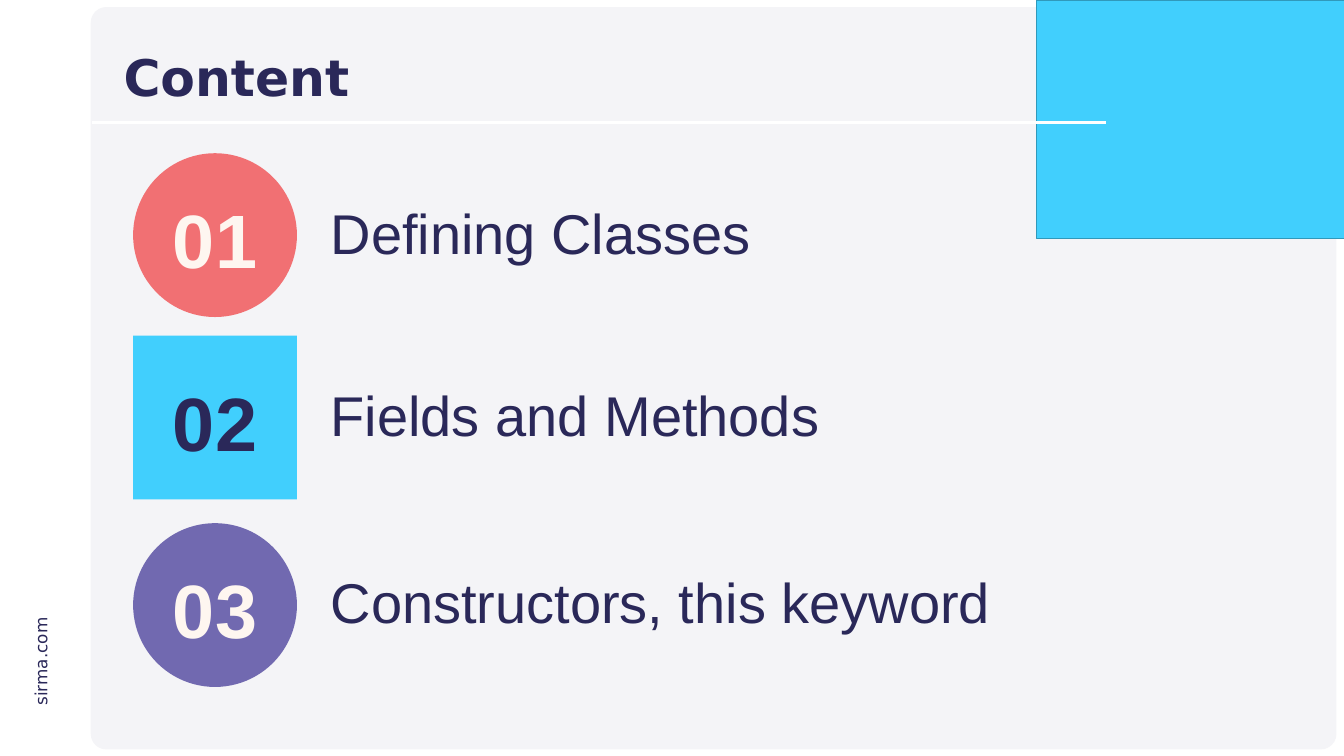
from lxml import etree
from pptx import Presentation
from pptx import util as u
from pptx.dml.color import RGBColor
from pptx.enum import shapes, text
from pptx.oxml.ns import qn

SHAPE = shapes.MSO_SHAPE
COLORS = {"navy": "2A2859", "panel": "F4F4F7", "sky": "41CFFD", "sky_edge": "3099BB",
          "coral": "F17073", "purple": "7169B0", "cream": "FEF6F0", "white": "FFFFFF"}
HEADING = "Content"
SITE = "sirma.com"
# number, topic, badge shape, badge colour, number colour, badge top
TOPICS = [
    ("01", "Defining Classes", SHAPE.OVAL, "coral", "cream", 3.04),
    ("02", "Fields and Methods", SHAPE.RECTANGLE, "sky", "navy", 6.66),
    ("03", "Constructors, this keyword", SHAPE.OVAL, "purple", "cream", 10.38),
]
SLIDE_W, SLIDE_H = 26.66, 15
BADGE_LEFT, BADGE_SIZE = 2.64, 3.25
NUMBER_W, NUMBER_H, NUMBER_DROP = 3.72, 1.92, 0.72
LABEL_LEFT, LABEL_W, LABEL_H, LABEL_DROP = 6.46, 15.47, 1.45, 0.84


def rgb(name):
    return RGBColor.from_string(COLORS[name])


def inches(*values):
    return [u.Inches(v) for v in values]


def add_block(s, kind, box, fill, edge=None):
    sp = s.shapes.add_shape(kind, *inches(*box))
    sp.shadow.inherit = False
    sp.fill.solid()
    sp.fill.fore_color.rgb = rgb(fill)
    if edge:
        sp.line.color.rgb = rgb(edge)
        sp.line.width = u.Pt(1)
    else:
        sp.line.fill.background()
    return sp


def write(sp, content, size, font="Arial", color="navy", bold=False, wrap=True,
          align=text.PP_ALIGN.LEFT, anchor=text.MSO_ANCHOR.TOP, spacing=None):
    tf = sp.text_frame
    tf.word_wrap = wrap
    tf.vertical_anchor = anchor
    p = tf.paragraphs[0]
    p.alignment = align
    p.line_spacing = spacing
    r = p.add_run()
    r.text = content
    r.font.size, r.font.name, r.font.bold = u.Pt(size), font, bold
    r.font.color.rgb = rgb(color)


def add_text(s, box, content, size, **fmt):
    sp = s.shapes.add_textbox(*inches(*box))
    write(sp, content, size, **fmt)
    return sp


def add_frame(s):
    """Draw the panel, corner block, site name and rule around the content."""
    panel = add_block(s, SHAPE.ROUNDED_RECTANGLE, (1.8, 0.14, 24.71, 14.73), "panel")
    panel.adjustments[0] = 0.021
    site = add_text(s, (-0.18, 12.86, 1.97, 0.5), SITE, 24, font="DejaVu Sans", wrap=False)
    site.rotation = 270
    add_block(s, SHAPE.RECTANGLE, (20.56, 0, SLIDE_W - 20.56, 4.73), "sky", "sky_edge")
    add_block(s, SHAPE.RECTANGLE, (1.83, 0.53, 18.34, 2.38), "panel")
    rule = s.shapes.add_connector(shapes.MSO_CONNECTOR.STRAIGHT,
                                  *inches(1.83, 2.43, 21.93, 2.43))
    rule.line.color.rgb = rgb("white")
    rule.line.width = u.Pt(3)
    etree.SubElement(rule.element.spPr, qn("a:effectLst"))


def add_title(s):
    title = s.shapes.title
    title.left, title.top, title.width, title.height = inches(2.35, 0.8, 19.57, 1.58)
    write(title, HEADING, 72, font="DejaVu Sans", bold=True,
          anchor=text.MSO_ANCHOR.MIDDLE, spacing=0.9)
    title.element.getparent().append(title.element)  # bring in front of the panel


def add_topic(s, number, topic, kind, fill, number_color, top):
    add_block(s, kind, (BADGE_LEFT, top, BADGE_SIZE, BADGE_SIZE), fill)
    number_left = BADGE_LEFT + (BADGE_SIZE - NUMBER_W) / 2
    add_text(s, (number_left, top + NUMBER_DROP, NUMBER_W, NUMBER_H), number, 108,
             color=number_color, bold=True, align=text.PP_ALIGN.CENTER,
             anchor=text.MSO_ANCHOR.BOTTOM)
    add_text(s, (LABEL_LEFT, top + LABEL_DROP, LABEL_W, LABEL_H), topic, 80)


def main():
    prs = Presentation()
    prs.slide_width, prs.slide_height = inches(SLIDE_W, SLIDE_H)
    s = prs.slides.add_slide(prs.slide_layouts[5])
    add_frame(s)
    add_title(s)
    for topic in TOPICS:
        add_topic(s, *topic)
    prs.save("out.pptx")


if __name__ == "__main__":
    main()
